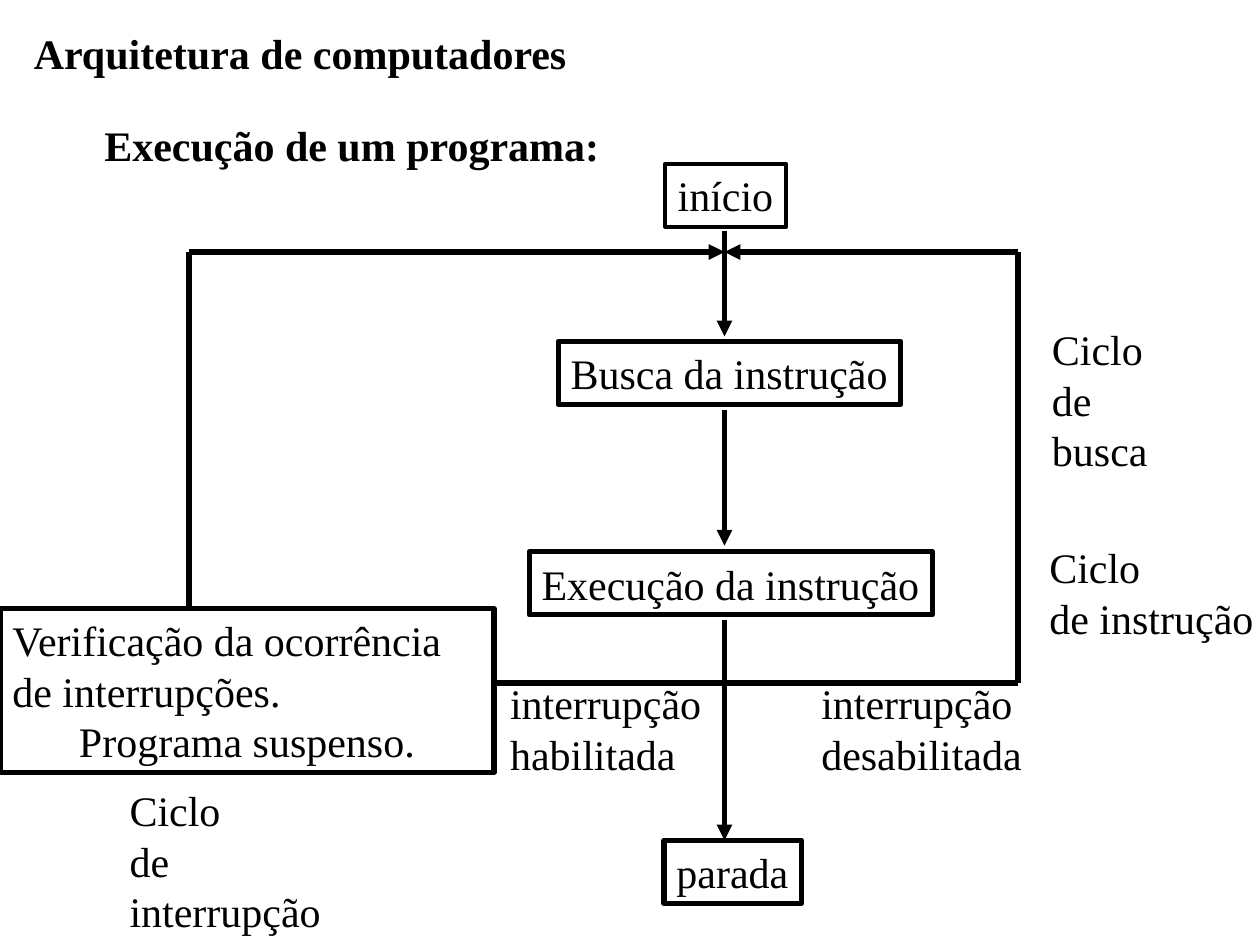
from pptx import Presentation
from pptx.dml.color import RGBColor
from pptx.enum.shapes import MSO_CONNECTOR, MSO_SHAPE
from pptx.enum.text import MSO_ANCHOR, MSO_AUTO_SIZE, PP_ALIGN
from pptx.oxml.ns import qn
from pptx.util import Emu, Pt
from lxml import etree

PX = 9144  # 100 px to the inch
FONT = "Times New Roman"
BLACK = "000000"
LINE_W = 3
ROW_H, PAIR_H = 50, 90
LEFT, CENTER = PP_ALIGN.LEFT, PP_ALIGN.CENTER
TOP = MSO_ANCHOR.TOP
FIT = MSO_AUTO_SIZE.SHAPE_TO_FIT_TEXT
RECT = MSO_SHAPE.RECTANGLE
STRAIGHT = MSO_CONNECTOR.STRAIGHT


def px(*values):
    return [Emu(v * PX) for v in values]


def color(hex_text):
    return RGBColor.from_string(hex_text)


def write(sp, lines, bold=False, wrap=False, last_align=LEFT):
    tf = sp.text_frame
    tf.word_wrap = wrap
    tf.auto_size = FIT
    tf.vertical_anchor = TOP
    for i, line in enumerate(lines):
        p = tf.paragraphs[0] if i == 0 else tf.add_paragraph()
        p.alignment = last_align if i == len(lines) - 1 else LEFT
        r = p.add_run()
        r.text = line
        r.font.name = FONT
        r.font.size = Pt(24)
        r.font.bold = bold
        r.font.color.rgb = color(BLACK)


def add_label(slide, x, y, w, h, *lines, bold=False):
    write(slide.shapes.add_textbox(*px(x, y, w, h)), lines, bold)


def add_step(slide, x, y, w, h, *lines, line_w=LINE_W, **text):
    """Outlined box with text."""
    sp = slide.shapes.add_shape(RECT, *px(x, y, w, h))
    sp.shadow.inherit = False
    sp.fill.background()
    sp.line.color.rgb = color(BLACK)
    sp.line.width = Pt(line_w)
    write(sp, lines, **text)


def add_path(slide, *points, arrow=False):
    """Straight lines through the points, with an optional arrowhead at the end."""
    for start, end in zip(points, points[1:]):
        line = slide.shapes.add_connector(STRAIGHT, *px(*start, *end))
        line.line.color.rgb = color(BLACK)
        line.line.width = Pt(LINE_W)
        if arrow and end == points[-1]:
            tail = etree.SubElement(line.line._get_or_add_ln(), qn("a:tailEnd"))
            tail.set("type", "triangle")
        etree.SubElement(line._element.spPr, qn("a:effectLst"))


def add_headings(slide, x, y):
    add_label(slide, x, y, 444, ROW_H, "Arquitetura de computadores", bold=True)
    add_label(slide, x + 56, y + 73, 413, ROW_H, "Execução de um programa:", bold=True)


def add_main_flow(slide, x, y):
    """Column of steps from start to stop; x is the axis of its arrows."""
    add_step(slide, x - 47, y, 96, ROW_H, "início", line_w=2.25)
    steps = [
        (-132, 141, 272, "Busca da instrução"),
        (-155, 308, 320, "Execução da instrução"),
        (-48, 537, 109, "parada"),
    ]
    for dx, dy, w, text in steps:
        add_step(slide, x + dx, y + dy, w, ROW_H, text)
    for top, bottom in [(53, 137), (195, 303), (362, 537)]:
        add_path(slide, (x, y + top), (x, y + bottom), arrow=True)


def add_instruction_loop(slide, x, y, w, h):
    """Return path on the right, with the labels of its cycles."""
    right, bottom = x + w, y + h
    add_path(slide, (x, bottom), (right, bottom), (right, y), (x, y), arrow=True)
    add_label(slide, right + 17, y + 52, 135, PAIR_H, "Ciclo", "de busca")
    add_label(slide, right + 15, y + 225, 182, PAIR_H, "Ciclo", "de instrução")
    add_label(slide, x + 67, bottom - 9, 180, PAIR_H, "interrupção", "desabilitada")


def add_interrupt_loop(slide, x, y, w, h):
    """Return path on the left, through the interrupt check."""
    right, bottom = x + w, y + h
    check_w, check_y, up_x = 392, bottom - 59, x + 150
    add_label(slide, x + 395, bottom - 9, 180, PAIR_H, "interrupção", "habilitada")
    add_path(slide, (right + 8, bottom), (x + check_w, bottom))
    add_step(slide, x, check_y, check_w, 130,
             "Verificação da ocorrência de interrupções.", "Programa suspenso.",
             wrap=True, last_align=CENTER)
    add_path(slide, (up_x, check_y), (up_x, y), (right, y), arrow=True)
    add_label(slide, x + 93, bottom + 76, 211, PAIR_H, "Ciclo", "de interrupção")


def main():
    prs = Presentation()
    prs.slide_width, prs.slide_height = px(1000, 750)
    slide = prs.slides.add_slide(prs.slide_layouts[6])
    axis, loop_y, loop_h = 575, 200, 342
    add_headings(slide, 17, 17)
    add_main_flow(slide, axis, 130)
    add_instruction_loop(slide, axis, loop_y, 233, loop_h)
    add_interrupt_loop(slide, 0, loop_y, axis, loop_h)
    prs.save("out.pptx")


if __name__ == "__main__":
    main()
